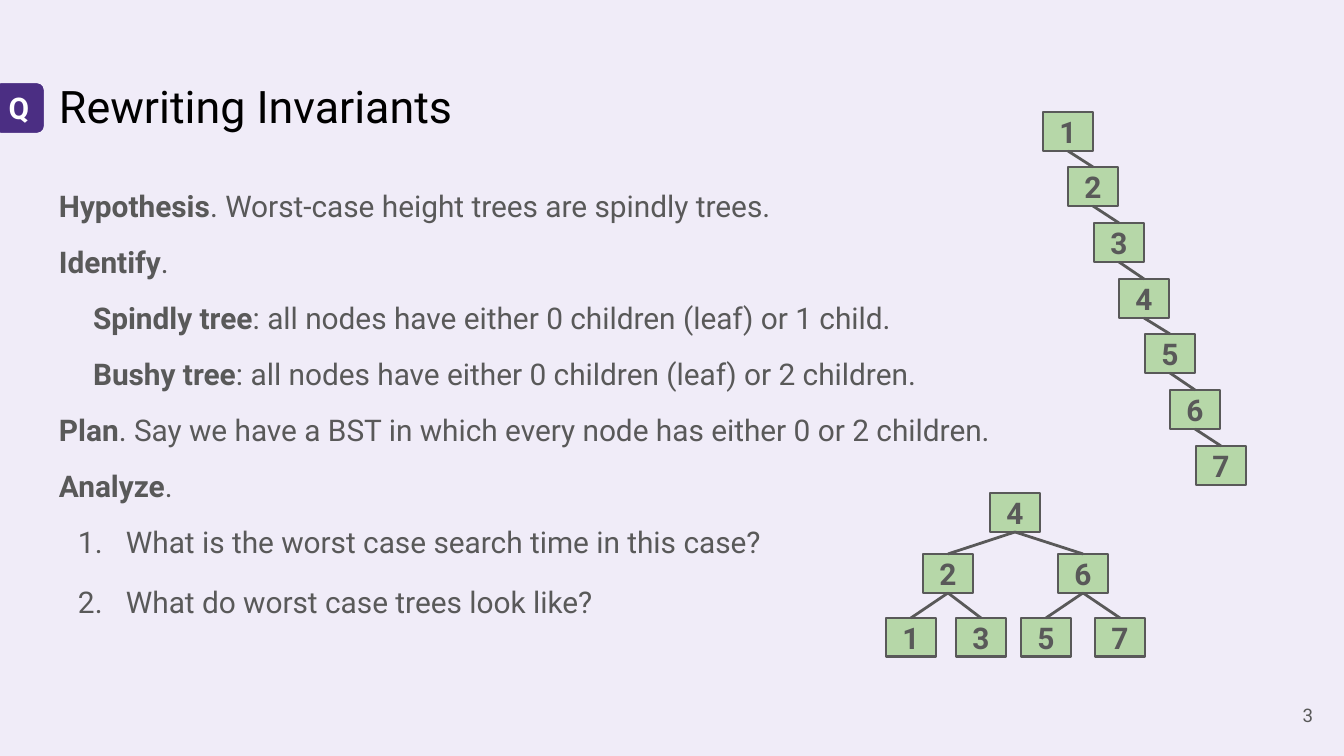
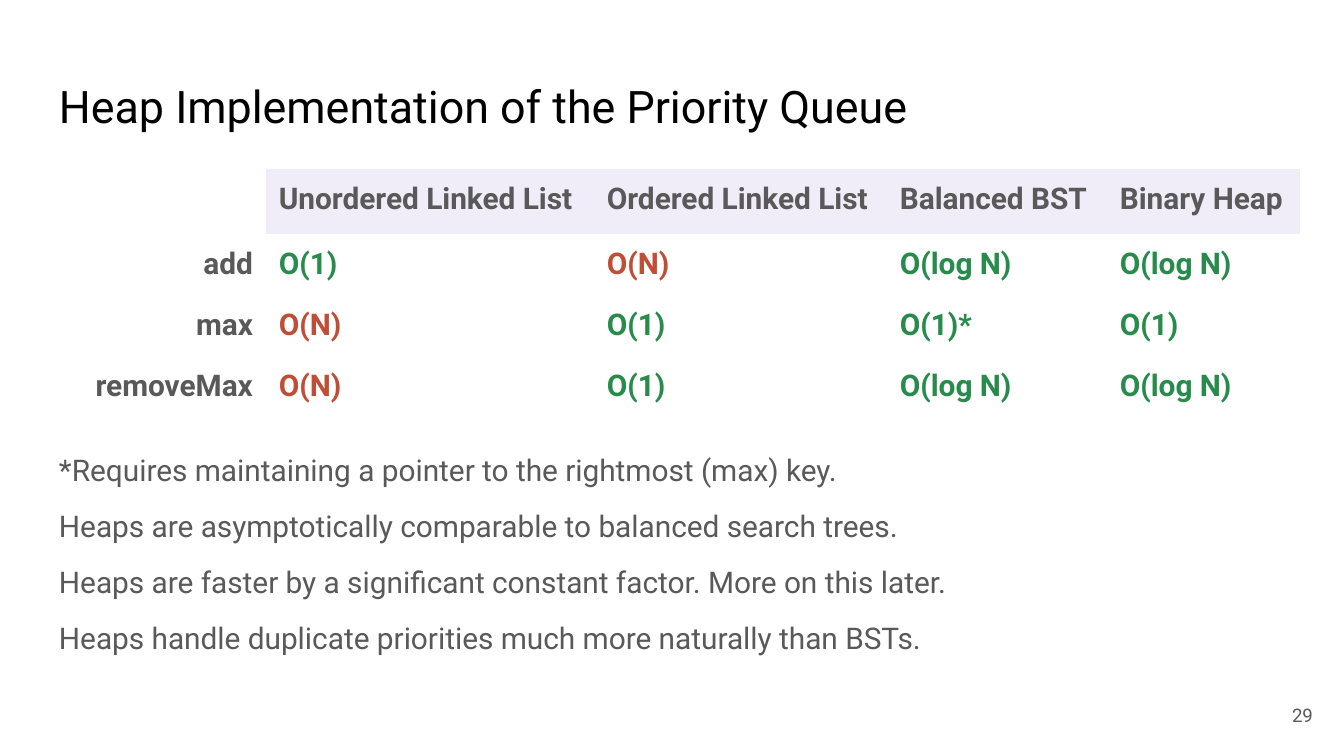
from pptx import Presentation, util as u
from pptx.dml.color import RGBColor
from pptx.enum import shapes, text
from pptx.oxml import ns, xmlchemy

# Content
HYPOTHESIS = [  # (kind, bold lead, rest)
    ("plain", "Hypothesis", ". Worst-case height trees are spindly trees."),
    ("plain", "Identify", "."),
    ("indented", "Spindly tree", ": all nodes have either 0 children (leaf) or 1 child."),
    ("indented", "Bushy tree", ": all nodes have either 0 children (leaf) or 2 children."),
    ("plain", "Plan", ". Say we have a BST in which every node has either 0 or 2 children."),
    ("plain", "Analyze", "."),
    ("numbered", "", "What is the worst case search time in this case?"),
    ("numbered", "", "What do worst case trees look like?"),
]
HEAP_NOTES = [
    ("plain", "", "*Requires maintaining a pointer to the rightmost (max) key."),
    ("plain", "", "Heaps are asymptotically comparable to balanced search trees."),
    ("plain", "", "Heaps are faster by a significant constant factor. More on this later."),
    ("plain", "", "Heaps handle duplicate priorities much more naturally than BSTs."),
]
RUNTIMES = [
    ("", "Unordered Linked List", "Ordered Linked List", "Balanced BST", "Binary Heap"),
    ("add", "O(1)", "O(N)", "O(log N)", "O(log N)"),
    ("max", "O(N)", "O(1)", "O(1)*", "O(1)"),
    ("removeMax", "O(N)", "O(1)", "O(log N)", "O(log N)"),
]
# Trees: key -> (left, top) in px, and key -> parent key
SPINDLY = {i + 1: (1043 + 153 * i // 6, 112 + 334 * i // 6) for i in range(7)}
SPINDLY_PARENTS = {key: key - 1 for key in range(2, 8)}
BUSHY = {4: (990, 493), 2: (923, 554), 6: (1058, 554),
         1: (886, 618), 3: (956, 618), 5: (1021, 618), 7: (1095, 618)}
BUSHY_PARENTS = {2: 4, 6: 4, 1: 2, 3: 2, 5: 6, 7: 6}

# Style
FONT = "Roboto"
BLACK = RGBColor(0x00, 0x00, 0x00)
WHITE = RGBColor(0xFF, 0xFF, 0xFF)
GRAY = RGBColor(0x59, 0x59, 0x59)
LAVENDER = RGBColor(0xF0, 0xEC, 0xF8)
PURPLE = RGBColor(0x4B, 0x2E, 0x83)
LEAF = RGBColor(0xB6, 0xD7, 0xA8)
GREEN = RGBColor(0x27, 0x8B, 0x4C)
RED = RGBColor(0xC0, 0x4E, 0x36)

INSET = 13
NODE_W, NODE_H = 50, 39
COLUMNS = (220, 328, 293, 220, 193)
ROWS = (65, 61, 61, 61)
INDENTS = {"plain": (0, 0), "indented": (34, 0), "numbered": (67, -48)}
ALIGN = text.PP_ALIGN
NO_TABLE_STYLE = "{2D5ABB26-0587-4C30-8999-92F81FD0307C}"


def px(*lengths):
    """Turn px (134.4 to the inch) into EMU."""
    return [u.Emu(round(length * 914400 / 134.4)) for length in lengths]


def apply(target, values):
    for name, value in values.items():
        setattr(target, name, value)


def write(para, words, size=16, color=GRAY, bold=False):
    span = para.add_run()
    span.text = words
    apply(span.font, {"name": FONT, "size": u.Pt(size), "bold": bold})
    span.font.color.rgb = color


def margins(holder):
    sides = ("left", "top", "right", "bottom")
    apply(holder, {f"margin_{side}": px(INSET)[0] for side in sides})


def frame_of(box, anchor=text.MSO_ANCHOR.TOP):
    frame = box.text_frame
    margins(frame)
    apply(frame, {"word_wrap": True, "auto_size": text.MSO_AUTO_SIZE.NONE,
                  "vertical_anchor": anchor})
    return frame


def label(box, words, align=ALIGN.CENTER, **style):
    para = frame_of(box, text.MSO_ANCHOR.MIDDLE).paragraphs[0]
    para.alignment = align
    write(para, words, **style)


def place(box, *bounds):
    apply(box, dict(zip(("left", "top", "width", "height"), px(*bounds))))


def block(parent, kind, bounds, fill, line, weight):
    shape = parent.add_shape(kind, *px(*bounds))
    shape.shadow.inherit = False
    shape.fill.solid()
    shape.fill.fore_color.rgb = fill
    shape.line.color.rgb = line
    shape.line.width = u.Pt(weight)
    return shape


def fill_body(body, lines):
    frame = frame_of(body)
    for i, (kind, lead, rest) in enumerate(lines):
        para = frame.add_paragraph() if i else frame.paragraphs[0]
        repeated = i > 0 and kind == "numbered" == lines[i - 1][0]
        before = 10 if repeated else 8 if i else 0
        apply(para, {"alignment": ALIGN.LEFT, "line_spacing": 1.15,
                     "space_before": u.Pt(before), "space_after": u.Pt(0)})
        props = para._p.get_or_add_pPr()
        for name, length in zip(("marL", "indent"), px(*INDENTS[kind])):
            props.set(name, str(length))
        if kind == "numbered":
            props.append(xmlchemy.OxmlElement("a:buFont"))
            props[-1].set("typeface", FONT)
            props.append(xmlchemy.OxmlElement("a:buAutoNum"))
            props[-1].set("type", "arabicPeriod")
        else:
            props.append(xmlchemy.OxmlElement("a:buNone"))
        if lead:
            write(para, lead, bold=True)
        write(para, rest)


def add_page(deck, title, number, background, lines, body_top):
    page = deck.slides.add_slide(deck.slide_layouts[1])
    page.background.fill.solid()
    page.background.fill.fore_color.rgb = background
    heading, body = page.placeholders
    place(heading, 46, 66, 1252, 85)
    para = frame_of(heading).paragraphs[0]
    para.alignment = ALIGN.LEFT
    write(para, title, size=24, color=BLACK)
    place(body, 46, body_top, 1252, 672 - body_top)
    fill_body(body, lines)
    label(page.shapes.add_textbox(*px(1246, 686, 80, 58)), number, ALIGN.RIGHT, size=10)
    return page


def add_tree(page, nodes, parents):
    tree = page.shapes.add_group_shape().shapes
    for key, corner in nodes.items():
        node = block(tree, shapes.MSO_SHAPE.RECTANGLE, (*corner, NODE_W, NODE_H),
                     LEAF, GRAY, 1.5)
        label(node, str(key), bold=True)
    for child, parent in parents.items():
        (x1, y1), (x2, y2) = nodes[parent], nodes[child]
        half = NODE_W // 2
        edge = tree.add_connector(shapes.MSO_CONNECTOR.STRAIGHT,
                                  *px(x1 + half, y1 + NODE_H, x2 + half, y2))
        edge.line.color.rgb = GRAY
        edge.line.width = u.Pt(1.5)
        edge._element.spPr.append(xmlchemy.OxmlElement("a:effectLst"))


def add_runtimes(page):
    bounds = px(46, 169, sum(COLUMNS), sum(ROWS))
    table = page.shapes.add_table(len(ROWS), len(COLUMNS), *bounds).table
    apply(table, {"first_row": False, "horz_banding": False})
    table._tbl.tblPr.find(ns.qn("a:tableStyleId")).text = NO_TABLE_STYLE
    for column, width in zip(table.columns, px(*COLUMNS)):
        column.width = width
    for row, height in zip(table.rows, px(*ROWS)):
        row.height = height
    for r, values in enumerate(RUNTIMES):
        for c, words in enumerate(values):
            cell = table.cell(r, c)
            cell.fill.solid()
            cell.fill.fore_color.rgb = LAVENDER if r == 0 and c else WHITE
            if not words:
                apply(cell, {"margin_top": 0, "margin_bottom": 0})
                continue
            margins(cell)
            para = cell.text_frame.paragraphs[0]
            para.alignment = ALIGN.LEFT if c else ALIGN.RIGHT
            heading = r == 0 or c == 0
            color = GRAY if heading else RED if words == "O(N)" else GREEN
            write(para, words, color=color, bold=True)


def main():
    deck = Presentation()
    deck.slide_width, deck.slide_height = px(1344, 756)

    # Question slide with both trees
    page = add_page(deck, "Rewriting Invariants", "3", LAVENDER, HYPOTHESIS, 169)
    badge = block(page.shapes, shapes.MSO_SHAPE.ROUNDED_RECTANGLE, (-8, 81, 54, 54),
                  PURPLE, LAVENDER, 2.25)
    label(badge, "Q", color=WHITE, bold=True)
    add_tree(page, BUSHY, BUSHY_PARENTS)
    add_tree(page, SPINDLY, SPINDLY_PARENTS)

    # Runtime comparison
    page = add_page(deck, "Heap Implementation of the Priority Queue", "29", WHITE,
                    HEAP_NOTES, 433)
    add_runtimes(page)
    deck.save("out.pptx")


if __name__ == "__main__":
    main()
